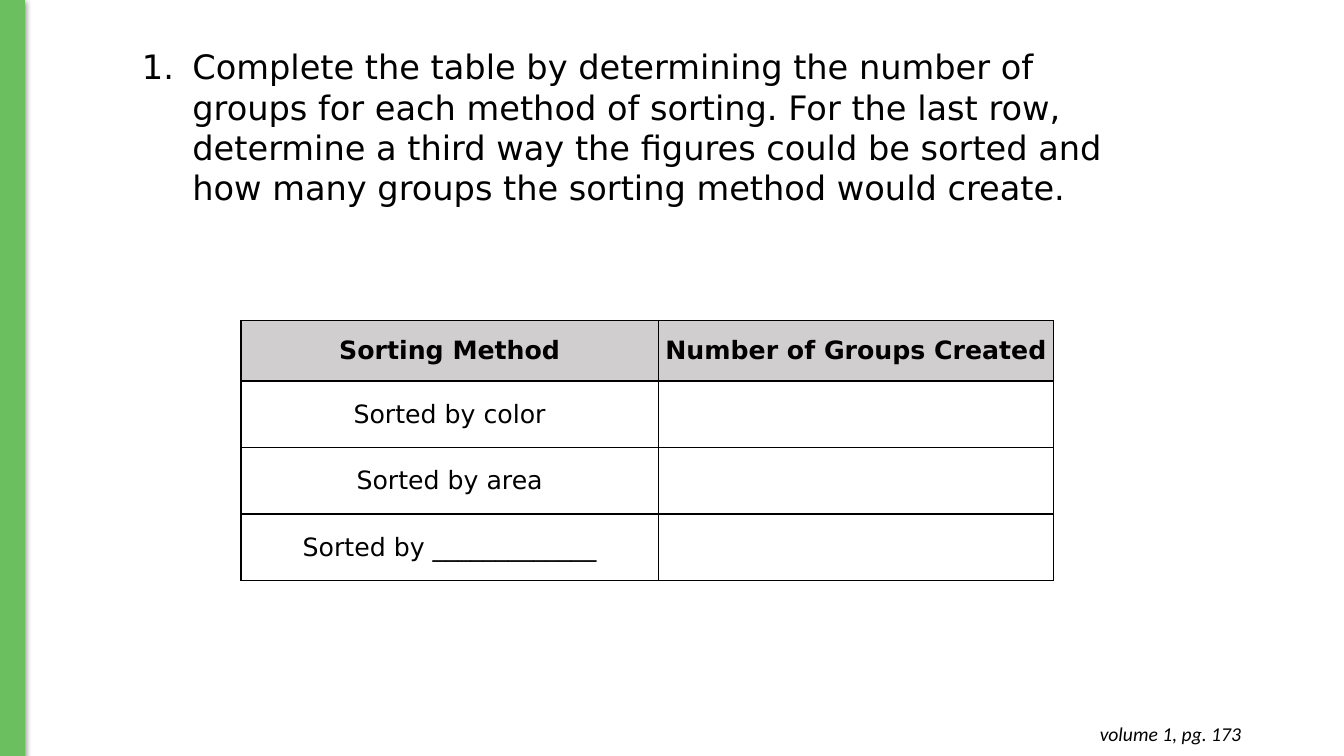
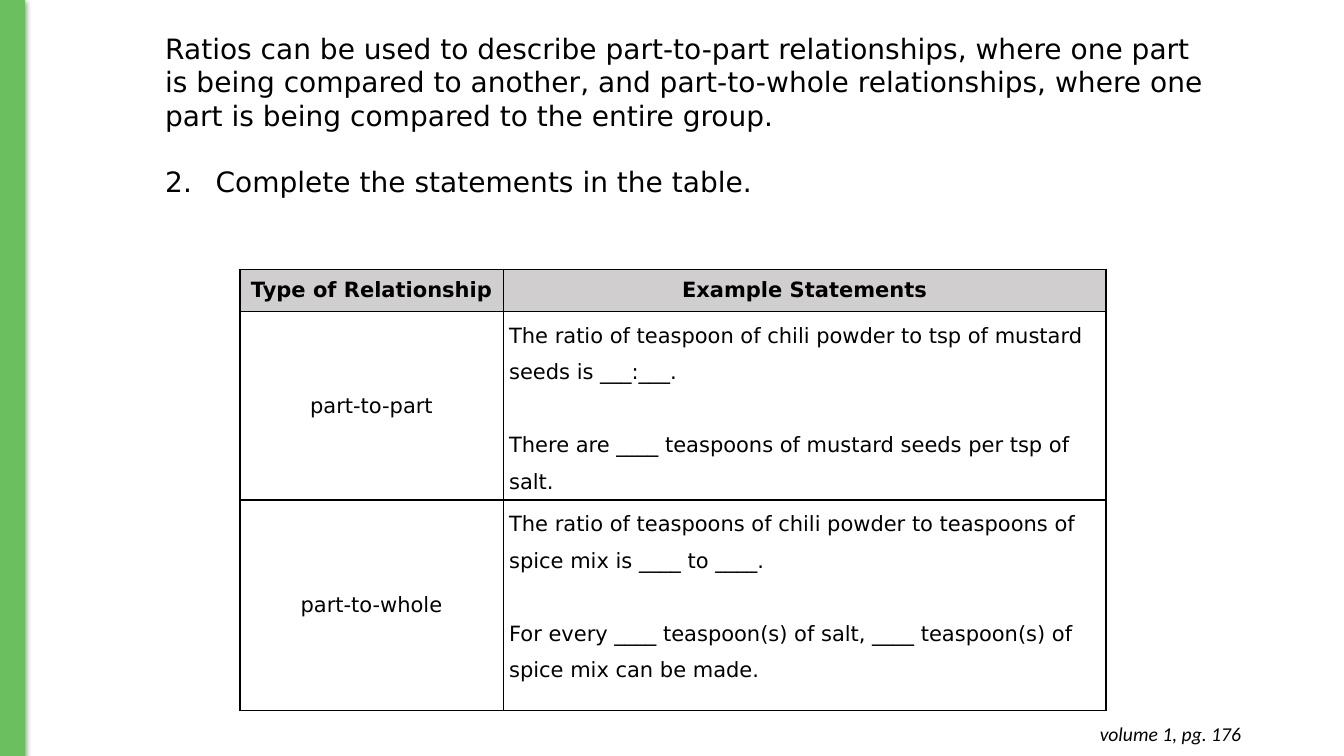
from lxml import etree
from pptx import Presentation
from pptx.dml.color import RGBColor
from pptx.enum import shapes, text
from pptx.oxml import ns
from pptx.util import Pt

PX = 9144  # EMU per px, 100 px to the inch
BLACK, GREEN, GREY = "000000", "6CBF5F", "D0CECE"
BODY_FONT, FOOTER_FONT = "DejaVu Sans", "Calibri"
LEFT, CENTER, RIGHT = text.PP_ALIGN.LEFT, text.PP_ALIGN.CENTER, text.PP_ALIGN.RIGHT


def rgb(color):
    return RGBColor.from_string(color)


def write(paragraph, words, size, font=BODY_FONT, align=LEFT, bold=False, italic=False):
    paragraph.alignment = align
    run = paragraph.add_run()
    run.text = words
    run.font.name, run.font.size = font, Pt(size)
    run.font.bold, run.font.italic = bold, italic
    run.font.color.rgb = rgb(BLACK)


# Content: a question line is (number or None, words); a cell is a list of paragraphs
pages = [
    dict(
        question_box=(131, 41, 1021, 172), question_size=24,
        question=[(1, "Complete the table by determining the number of groups for each method of "
                      "sorting. For the last row, determine a third way the figures could be sorted "
                      "and how many groups the sorting method would create.")],
        table_at=(239, 318), columns=(414, 392), rows=(60, 66, 66, 66),
        table_size=18, cell_inset=7,
        cells=[
            [["Sorting Method"], ["Number of Groups Created"]],
            [["Sorted by color"], []],
            [["Sorted by area"], []],
            [["Sorted by _____________"], []],
        ],
        footer="volume 1, pg. 173",
    ),
    dict(
        question_box=(154, 26, 1052, 178), question_size=20,
        question=[(None, "Ratios can be used to describe part-to-part relationships, where one part "
                         "is being compared to another, and part-to-whole relationships, where one "
                         "part is being compared to the entire group."),
                  (2, "Complete the statements in the table.")],
        table_at=(238, 267), columns=(261, 598), rows=(42, 187, 209),
        table_size=15, cell_inset=6,
        cells=[
            [["Type of Relationship"], ["Example Statements"]],
            [["part-to-part"],
             ["The ratio of teaspoon of chili powder to tsp of mustard seeds is ___:___.",
              "There are ____ teaspoons of mustard seeds per tsp of salt."]],
            [["part-to-whole"],
             ["The ratio of teaspoons of chili powder to teaspoons of spice mix is ____ to ____.",
              "For every ____ teaspoon(s) of salt, ____ teaspoon(s) of spice mix can be made."]],
        ],
        footer="volume 1, pg. 176",
    ),
]

deck = Presentation()
deck.slide_width, deck.slide_height = 1333 * PX, 750 * PX

for page in pages:
    slide = deck.slides.add_slide(deck.slide_layouts[6])

    # Question
    question = slide.shapes.add_textbox(*(n * PX for n in page["question_box"])).text_frame
    question.word_wrap = True
    question.auto_size = text.MSO_AUTO_SIZE.SHAPE_TO_FIT_TEXT
    for i, (number, words) in enumerate(page["question"]):
        line = question.add_paragraph() if i else question.paragraphs[0]
        if i:
            line.space_before = Pt(23)
        if number:
            props = line._p.get_or_add_pPr()
            props.set("marL", str(50 * PX))
            props.set("indent", str(-50 * PX))
            bullet_color = etree.SubElement(props, ns.qn("a:buClr"))
            etree.SubElement(bullet_color, ns.qn("a:srgbClr"), val=BLACK)
            etree.SubElement(props, ns.qn("a:buFont"), typeface="+mj-lt")
            etree.SubElement(props, ns.qn("a:buAutoNum"), type="arabicPeriod", startAt=str(number))
        write(line, words, page["question_size"])

    # Table
    columns, rows = page["columns"], page["rows"]
    left, top = page["table_at"]
    table = slide.shapes.add_table(len(rows), len(columns), left * PX, top * PX,
                                   sum(columns) * PX, sum(rows) * PX).table
    table.first_row = table.horz_banding = False
    for column, width in zip(table.columns, columns):
        column.width = width * PX
    for r, height in enumerate(rows):
        table.rows[r].height = height * PX
        for c, paragraphs in enumerate(page["cells"][r]):
            cell = table.cell(r, c)
            cell.margin_left = cell.margin_right = page["cell_inset"] * PX
            cell.margin_top = cell.margin_bottom = 0
            for side in ("a:lnL", "a:lnR", "a:lnT", "a:lnB"):
                border = etree.SubElement(cell._tc.get_or_add_tcPr(), ns.qn(side), w=str(Pt(1)))
                border_fill = etree.SubElement(border, ns.qn("a:solidFill"))
                etree.SubElement(border_fill, ns.qn("a:srgbClr"), val=BLACK)
            if r == 0:
                cell.fill.solid()
                cell.fill.fore_color.rgb = rgb(GREY)
            else:
                cell.fill.background()
            statements = len(paragraphs) > 1
            cell.vertical_anchor = text.MSO_ANCHOR.TOP if statements else text.MSO_ANCHOR.MIDDLE
            for i, words in enumerate(paragraphs):
                line = cell.text_frame.add_paragraph() if i else cell.text_frame.paragraphs[0]
                if statements:
                    line.line_spacing = 1.5
                if i:
                    line.space_before = Pt(26)
                write(line, words, page["table_size"], align=LEFT if statements else CENTER,
                      bold=r == 0)

    # Green side band with a soft shadow
    band = slide.shapes.add_shape(shapes.MSO_SHAPE.RECTANGLE, 0, 0, 24 * PX, 751 * PX)
    band.fill.solid()
    band.fill.fore_color.rgb = band.line.color.rgb = rgb(GREEN)
    band.line.width = Pt(0.75)
    band.shadow.inherit = False
    effects = band._element.spPr.find(ns.qn("a:effectLst"))
    shadow = etree.SubElement(effects, ns.qn("a:outerShdw"), blurRad=str(Pt(4.5)),
                              dist=str(Pt(1.5)), dir="5400000", algn="bl", rotWithShape="0")
    shadow_color = etree.SubElement(shadow, ns.qn("a:srgbClr"), val=BLACK)
    etree.SubElement(shadow_color, ns.qn("a:alpha"), val="50000")

    # Page reference
    footer = slide.shapes.add_textbox(953 * PX, 706 * PX, 288 * PX, 44 * PX).text_frame
    footer.word_wrap = True
    footer.auto_size = text.MSO_AUTO_SIZE.SHAPE_TO_FIT_TEXT
    footer.margin_top = footer.margin_bottom = 10 * PX
    write(footer.paragraphs[0], page["footer"], 14, FOOTER_FONT, RIGHT, italic=True)

deck.save("out.pptx")
